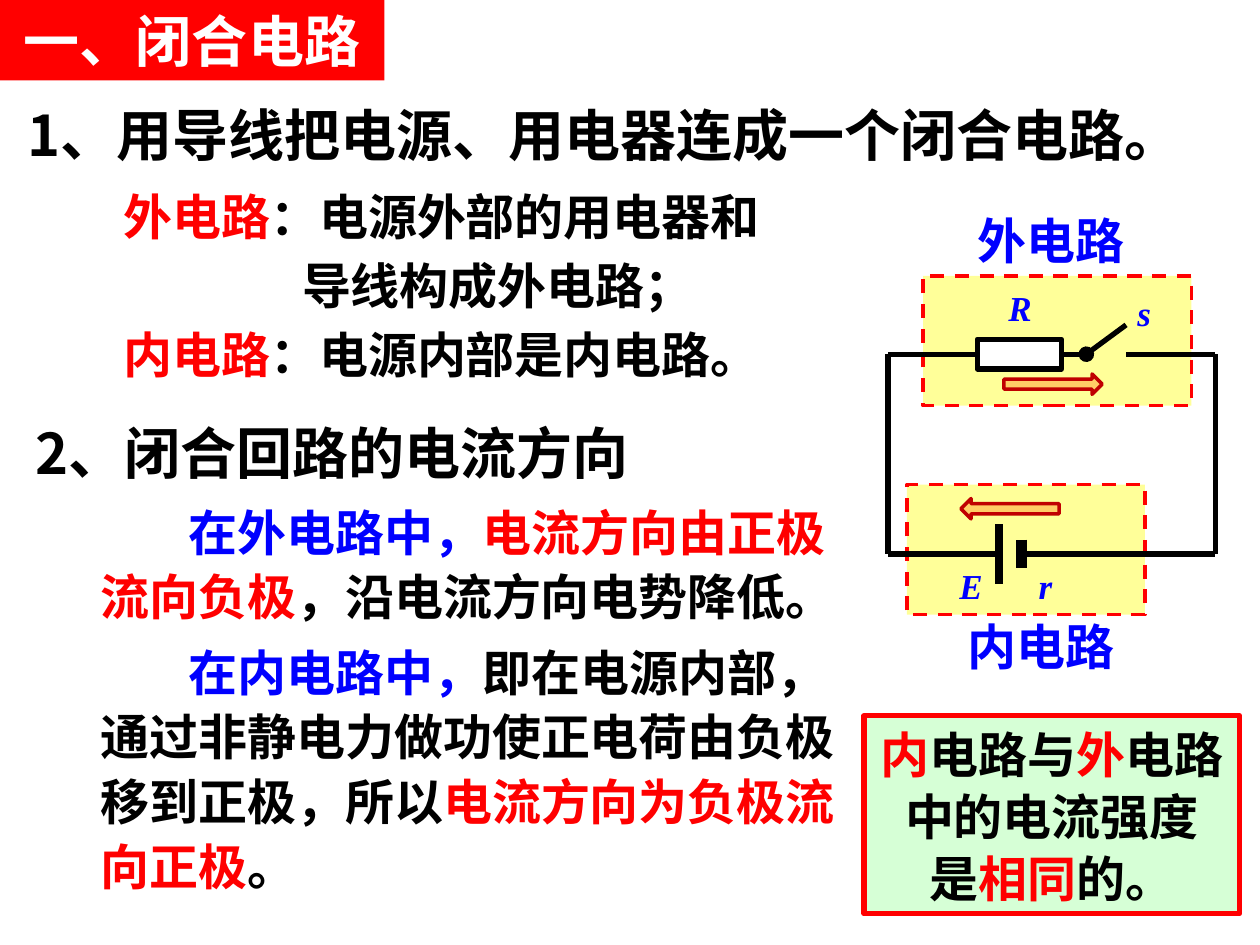
from collections import namedtuple

from lxml.etree import SubElement
from pptx import Presentation
from pptx.dml.color import RGBColor
from pptx.enum.dml import MSO_LINE
from pptx.enum.shapes import MSO_CONNECTOR, MSO_SHAPE
from pptx.enum.text import MSO_ANCHOR, MSO_AUTO_SIZE, PP_ALIGN
from pptx.oxml.ns import qn
from pptx.util import Cm, Pt

BLACK, WHITE, RED, BLUE = "000000", "FFFFFF", "FF0000", "0000FF"
CHINESE, LATIN = "Noto Sans CJK SC", "Times New Roman"

Box = namedtuple("Box", "left top width height")


def inside(box, left, top, width, height):
    return Box(box.left + left, box.top + top, width, height)


def color(value):
    return RGBColor.from_string(value)


def write(shape, paragraphs, size=28, font=CHINESE, italic=False,
          align=PP_ALIGN.LEFT, spacing=1.0, before=0, indents=()):
    frame = shape.text_frame
    frame.word_wrap = True
    frame.auto_size = MSO_AUTO_SIZE.SHAPE_TO_FIT_TEXT
    frame.vertical_anchor = MSO_ANCHOR.TOP
    for index, spans in enumerate(paragraphs):
        para = frame.paragraphs[0] if index == 0 else frame.add_paragraph()
        para.alignment = align
        para.line_spacing = spacing
        para.space_before = Pt(before)
        para.font.size = Pt(size)
        para.font.name = font
        para.font.bold = True
        para.font.italic = italic
        properties = para.font._element
        SubElement(properties, qn("a:ea"), typeface=font)
        if indents:
            para._p.get_or_add_pPr().set("indent", str(Cm(indents[index])))
        for text, tone in spans:
            span = para.add_run()
            span.text = text
            span.font.color.rgb = color(tone)


def add_text(page, box, paragraphs, **style):
    shape = page.shapes.add_textbox(*map(Cm, box))
    write(shape, paragraphs, **style)


def add_block(page, box, fill, line=None, width=2, opacity=100,
              dashed=False, kind=MSO_SHAPE.RECTANGLE):
    shape = page.shapes.add_shape(kind, *map(Cm, box))
    shape.shadow.inherit = False
    shape.fill.solid()
    shape.fill.fore_color.rgb = color(fill)
    if opacity < 100:
        tone = shape.fill._xPr.find(".//" + qn("a:srgbClr"))
        SubElement(tone, qn("a:alpha"), val=str(opacity * 1000))
    if line:
        shape.line.color.rgb = color(line)
        shape.line.width = Pt(width)
        if dashed:
            shape.line.dash_style = MSO_LINE.DASH
    else:
        shape.line.fill.background()
    return shape


def add_wire(page, box, start, end, width=3, dot=False):
    points = [Cm(origin + offset)
              for point in (start, end)
              for origin, offset in zip((box.left, box.top), point)]
    wire = page.shapes.add_connector(MSO_CONNECTOR.STRAIGHT, *points)
    wire.line.color.rgb = color(BLACK)
    wire.line.width = Pt(width)
    if dot:
        SubElement(wire.line._get_or_add_ln(), qn("a:headEnd"), type="oval")
    SubElement(wire._element.spPr, qn("a:effectLst"))


def draw_title(page, box):
    bar = add_block(page, box, RED)
    write(bar, [[("一、闭合电路", WHITE)]], size=32, align=PP_ALIGN.CENTER)


def draw_definitions(page, box):
    add_text(page, inside(box, 0, 0, box.width, 1.62),
             [[("1、用导线把电源、用电器连成一个闭合电路。", BLACK)]], size=32)
    add_text(page, inside(box, 1.94, 1.73, 13.97, 4.24), [
        [("外电路", RED), ("：电源外部的用电器和", BLACK)],
        [("导线构成外电路；", BLACK)],
        [("内电路", RED), ("：电源内部是内电路。", BLACK)],
    ], before=6, indents=(0, 3.6, 0))


def draw_directions(page, box):
    add_text(page, inside(box, 0, 0, 14.38, 1.88),
             [[("2、闭合回路的电流方向", BLACK)]], size=32, spacing=1.2)
    outer = [("在外电路中，", BLUE), ("电流方向由正极流向负极", RED),
             ("，沿电流方向电势降低。", BLACK)]
    inner = [("在内电路中，", BLUE),
             ("即在电源内部，通过非静电力做功使正电荷由负极移到正极，所以", BLACK),
             ("电流方向为负极流向正极", RED), ("。", BLACK)]
    for top, height, spans in ((1.83, 2.87, outer), (4.65, 5.49, inner)):
        add_text(page, inside(box, 1.32, top, 15.6, height), [spans],
                 spacing=1.1, indents=(1.78,))


def draw_circuit(page, box):
    right, upper, lower = box.width, 3.03, 7.06
    pivot, contact = 4.0, 4.8
    long_plate, short_plate = 2.24, 2.69

    for part in ((0.71, 1.45, 5.41, 2.62), (0.38, 5.66, 4.8, 2.62)):
        add_block(page, inside(box, *part), "FFFF00", RED,
                  opacity=40, dashed=True)

    for start, end in (
        ((pivot, upper), (0, upper)),
        ((0, upper), (0, lower)),
        ((0, lower), (long_plate, lower)),
        ((short_plate, lower), (right, lower)),
        ((right, lower), (right, upper)),
        ((right, upper), (contact, upper)),
    ):
        add_wire(page, box, start, end)
    add_wire(page, box, (pivot, upper), (contact, 2.44), dot=True)
    for x, half, width in ((long_plate, 0.6, 4.5), (short_plate, 0.29, 6)):
        add_wire(page, box, (x, lower - half), (x, lower + half), width)
    add_block(page, inside(box, 1.8, upper - 0.3, 1.7, 0.6), WHITE, BLACK, 3)

    for text, left, top in (("外电路", 1.19, 0), ("内电路", 0.99, 8.2)):
        add_text(page, inside(box, left, top, 4.19, 1.45), [[(text, BLUE)]],
                 align=PP_ALIGN.CENTER)
    for text, left, top, width in (
        ("R", 2.18, 1.55, 1.32), ("s", 4.78, 1.65, 2.11),
        ("E", 1.19, 7.14, 1.47), ("r", 2.79, 7.14, 1.9),
    ):
        add_text(page, inside(box, left, top, width, 1.12), [[(text, BLUE)]],
                 size=20, font=LATIN, italic=True)
    for left, top, rotation in ((2.34, 3.43, 0), (1.47, 5.94, 180)):
        arrow = add_block(page, inside(box, left, top, 1.98, 0.41), "FFCC66",
                          "C00000", kind=MSO_SHAPE.RIGHT_ARROW)
        arrow.rotation = rotation


def draw_conclusion(page, box):
    panel = add_block(page, box, "CCFFCC", RED, 3, opacity=80)
    write(panel, [
        [("内", RED), ("电路与", BLACK), ("外", RED), ("电路", BLACK)],
        [("中的电流强度", BLACK)],
        [("是", BLACK), ("相同", RED), ("的。", BLACK)],
    ], align=PP_ALIGN.CENTER, spacing=1.05)


def main():
    deck = Presentation()
    deck.slide_width, deck.slide_height = Cm(25.4), Cm(19.05)
    page = deck.slides.add_slide(deck.slide_layouts[6])
    draw_title(page, Box(0, 0, 7.75, 1.62))
    draw_definitions(page, Box(0.3, 1.9, 24.2, 5.97))
    draw_directions(page, Box(0.46, 8.05, 16.92, 10.14))
    draw_circuit(page, Box(17.9, 4.11, 6.6, 9.65))
    draw_conclusion(page, Box(17.42, 14.43, 7.57, 3.99))
    deck.save("out.pptx")


if __name__ == "__main__":
    main()
